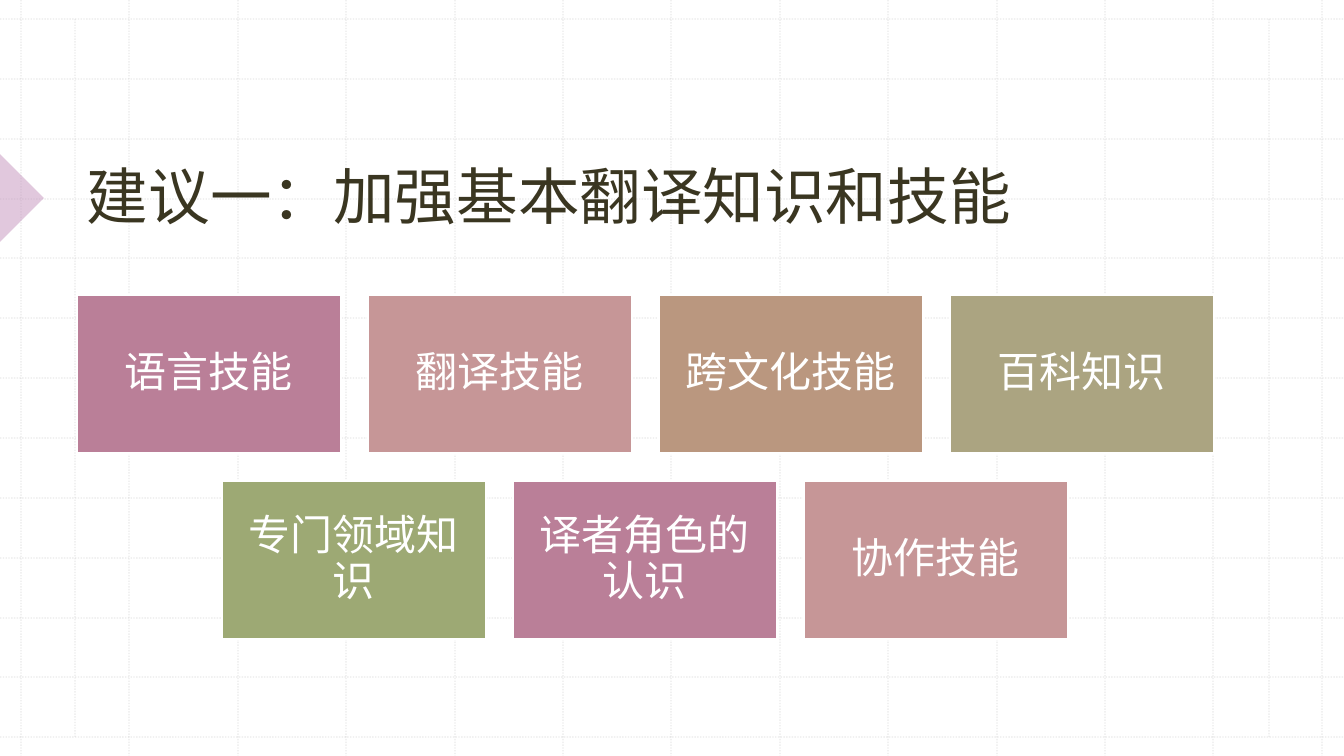
from lxml.etree import SubElement
from pptx import Presentation
from pptx.dml.color import RGBColor
from pptx.enum.dml import MSO_LINE
from pptx.enum.shapes import MSO_CONNECTOR, MSO_SHAPE
from pptx.enum.text import MSO_ANCHOR as ANCHOR, PP_ALIGN as ALIGN
from pptx.oxml.ns import qn
from pptx.util import Emu, Pt

FONT = "Noto Sans CJK TC"
COLORS = {
    "white": "FFFFFF", "grid": "BCBCBC", "marker": "C493BD", "title": "3A3621",
    "plum": "BA7F98", "rose": "C69697", "tan": "BA977F", "khaki": "ABA481", "olive": "9DA974",
}
WIDTH, HEIGHT = 1344, 756


def px(*lengths):
    return [Emu(round(length * 914400 / 100.8)) for length in lengths]


def write(shape, text, size, color):
    paragraph = shape.text_frame.paragraphs[0]
    run = paragraph.add_run()
    run.text = text
    paragraph.font.size = Pt(size)
    paragraph.font.name = FONT
    paragraph.font.color.rgb = RGBColor.from_string(COLORS[color])
    SubElement(paragraph.font._element, qn("a:ea"), typeface=FONT)
    return paragraph


presentation = Presentation()
presentation.slide_width, presentation.slide_height = px(WIDTH, HEIGHT)
slide = presentation.slides.add_slide(presentation.slide_layouts[6])
shapes = slide.shapes

columns = [round(21 + 108.4 * i) for i in range(13)]
rows = [round(19 + 59.85 * i) for i in range(13)]
grid_lines = [(x, 0, x, HEIGHT) for x in columns]
grid_lines += [(0, y, WIDTH, y) for y in rows]
grid_lines += [(x, rows[0], x, rows[-1]) for x in (75, 1269)]
for ends in grid_lines:
    connector = shapes.add_connector(MSO_CONNECTOR.STRAIGHT, *px(*ends))
    connector.line.width = Pt(1)
    connector.line.color.rgb = RGBColor.from_string(COLORS["grid"])
    connector.line.dash_style = MSO_LINE.ROUND_DOT
    color = connector._element.find(".//" + qn("a:srgbClr"))
    SubElement(color, qn("a:alpha"), val="30000")
    SubElement(connector._element.spPr, qn("a:effectLst"))

marker = shapes.add_shape(MSO_SHAPE.RIGHT_TRIANGLE, *px(-31, 167, 62, 62))
marker.rotation = 225
marker.shadow.inherit = False
marker.fill.solid()
marker.fill.fore_color.rgb = RGBColor.from_string(COLORS["marker"])
marker.line.fill.background()
color = marker._element.spPr.find(".//" + qn("a:srgbClr"))
SubElement(color, qn("a:alpha"), val="50000")

title = shapes.add_textbox(*px(77, 80, 1138, 152))
title.text_frame.word_wrap = True
title.text_frame.vertical_anchor = ANCHOR.BOTTOM
title.text_frame.margin_bottom = 0
write(title, "建议一：加强基本翻译知识和技能", 44, "title")

skill_rows = [
    (77, 295, [("语言技能", "plum"), ("翻译技能", "rose"), ("跨文化技能", "tan"), ("百科知识", "khaki")]),
    (222, 481, [("专门领域知识", "olive"), ("译者角色的认识", "plum"), ("协作技能", "rose")]),
]
for left, top, skills in skill_rows:
    for i, (skill, fill) in enumerate(skills):
        card = shapes.add_shape(MSO_SHAPE.RECTANGLE, *px(left + 291 * i, top, 264, 158))
        card.shadow.inherit = False
        card.fill.solid()
        card.fill.fore_color.rgb = RGBColor.from_string(COLORS[fill])
        card.line.color.rgb = RGBColor.from_string(COLORS["white"])
        card.line.width = Pt(1)
        frame = card.text_frame
        frame.word_wrap = True
        frame.vertical_anchor = ANCHOR.MIDDLE
        frame.margin_left, frame.margin_top, frame.margin_right, frame.margin_bottom = px(12, 12, 12, 12)
        paragraph = write(card, skill, 30, "white")
        paragraph.alignment = ALIGN.CENTER
        paragraph.line_spacing = 0.9

presentation.save("out.pptx")
